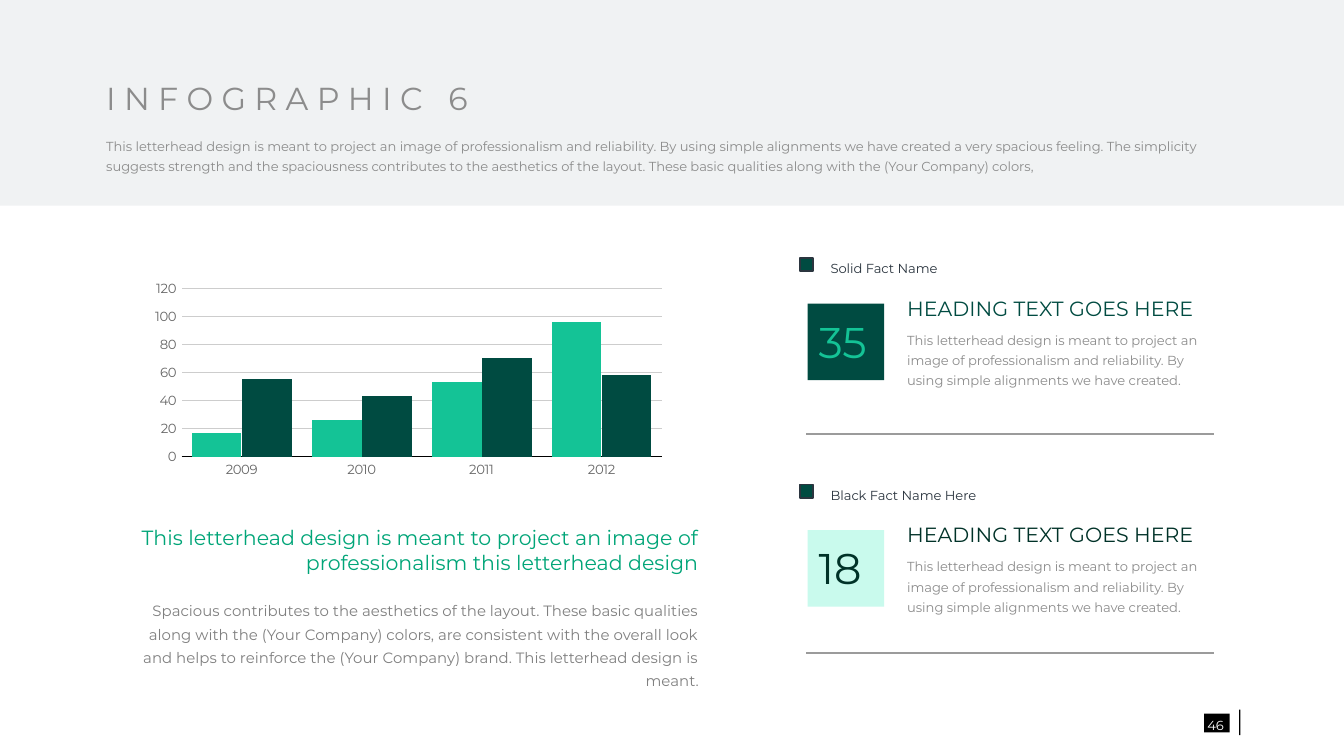
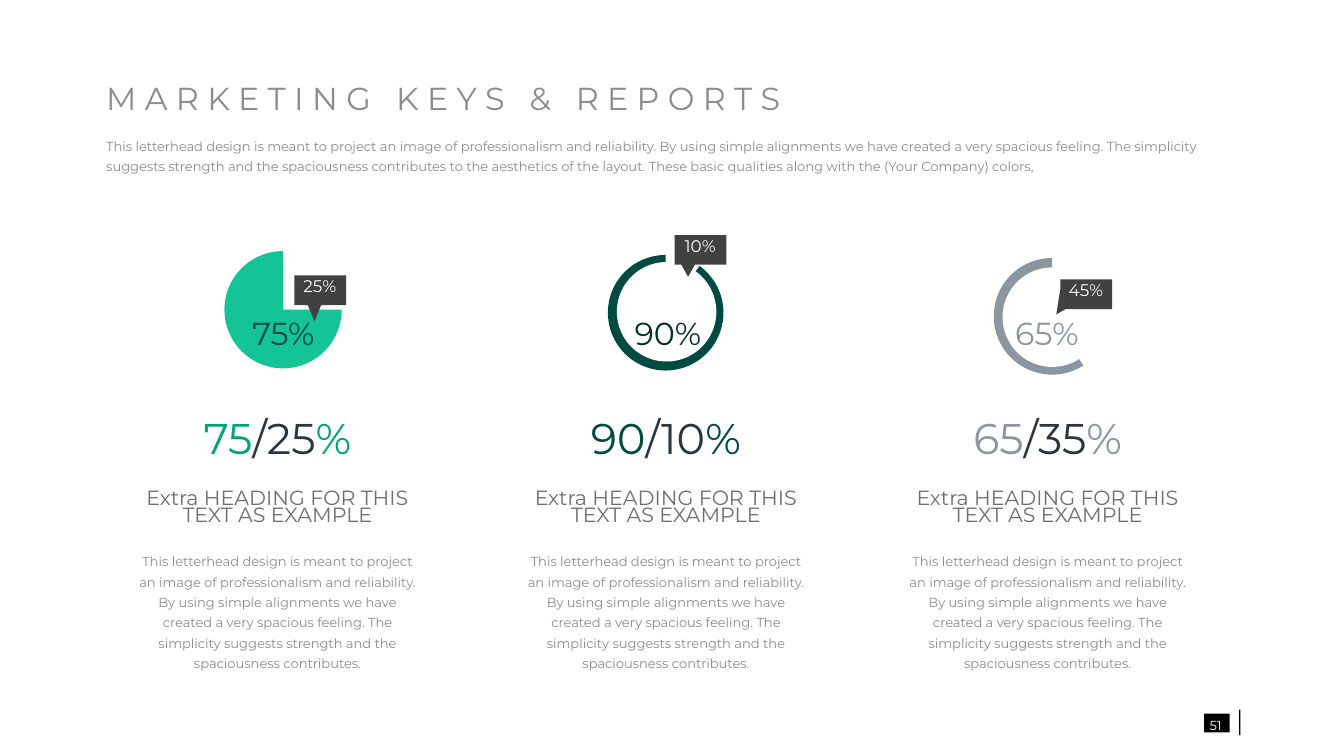
from lxml.etree import SubElement
from pptx import Presentation
from pptx.chart.data import CategoryChartData
from pptx.dml.color import RGBColor
from pptx.enum.chart import XL_CHART_TYPE, XL_TICK_MARK
from pptx.enum.shapes import MSO_CONNECTOR, MSO_SHAPE
from pptx.enum.text import MSO_ANCHOR, MSO_AUTO_SIZE, PP_ALIGN
from pptx.oxml.ns import qn
from pptx.util import Inches, Pt

FONT = "Montserrat"
WHITE = RGBColor(0xFF, 0xFF, 0xFF)
BLACK = RGBColor(0x00, 0x00, 0x00)
MIST = RGBColor(0xDA, 0xDF, 0xE3)
GRID_GREY = RGBColor(0xCD, 0xCD, 0xCD)
RULE_GREY = RGBColor(0x9B, 0x9B, 0x9B)
TEXT_GREY = RGBColor(0x8C, 0x8C, 0x8C)
SUMMARY_GREY = RGBColor(0x80, 0x80, 0x80)
HEADING_GREY = RGBColor(0x6E, 0x6E, 0x6E)
AXIS_GREY = RGBColor(0x67, 0x67, 0x67)
CALLOUT_GREY = RGBColor(0x41, 0x41, 0x41)
STEEL = RGBColor(0x8C, 0x96, 0xA0)
INK = RGBColor(0x2B, 0x35, 0x3F)
MINT = RGBColor(0xC9, 0xFA, 0xED)
GREEN = RGBColor(0x14, 0xC3, 0x96)
LEAF = RGBColor(0x00, 0xA5, 0x78)
PINE = RGBColor(0x00, 0x4B, 0x41)
DEEP_PINE = RGBColor(0x00, 0x32, 0x28)

OPENING = ("This letterhead design is meant to project an image of professionalism "
           "and reliability. By using simple alignments we have created")
INTRO = (OPENING + " a very spacious feeling. The simplicity suggests strength and the "
         "spaciousness contributes to the aesthetics of the layout. These basic "
         "qualities along with the (Your Company) colors,")
REPORT = (OPENING + " a very spacious feeling. The simplicity suggests strength "
          "and the spaciousness contributes.")
SUMMARY = ("Spacious contributes to the aesthetics of the layout. These basic qualities "
           "along with the (Your Company) colors, are consistent with the overall look "
           "and helps to reinforce the (Your Company) brand. This letterhead design is "
           "meant.")


def grid(*cells):
    """Turn counts of grid cells, ten to the inch, into lengths."""
    return [Inches(cell / 10) for cell in cells]


def write(shape, text, size, color, spacing=1.0, align=PP_ALIGN.LEFT,
          anchor=MSO_ANCHOR.MIDDLE, more=()):
    """Fill a shape with text; more holds further (text, colour) runs."""
    frame = shape.text_frame
    frame.text = text
    frame.word_wrap = True
    frame.auto_size = MSO_AUTO_SIZE.NONE
    frame.vertical_anchor = anchor
    frame.margin_left = frame.margin_top = frame.margin_right = frame.margin_bottom = 0
    for paragraph in frame.paragraphs:
        paragraph.alignment = align
        paragraph.line_spacing = spacing
        paragraph.space_before = Pt(0)
        for run in paragraph.runs:
            run.font.color.rgb = color
    for extra, extra_color in more:
        run = frame.paragraphs[0].add_run()
        run.text = extra
        run.font.color.rgb = extra_color
    for paragraph in frame.paragraphs:
        for run in paragraph.runs:
            run.font.name = FONT
            run.font.size = Pt(size)


prs = Presentation()
prs.slide_width, prs.slide_height = grid(100, 56.25)
blocks = []  # (shape, fill, outline)
charts = []  # (chart, share of the chart taken by the plot: x, y, w, h)

# Title, introduction and page number
slides = []
for title, title_width, page in (("INFOGRAPHIC 6", 44.1, "46"),
                                 ("MARKETING KEYS & REPORTS", 51.5, "51")):
    slide = prs.slides.add_slide(prs.slide_layouts[1])
    slides.append(slide)
    heading, intro = slide.shapes.title, slide.placeholders[1]
    heading.left, heading.top, heading.width, heading.height = grid(7.9, 6, title_width, 3.3)
    intro.left, intro.top, intro.width, intro.height = grid(7.9, 9.9, 83.1, 3.1)

    first_word, *words = [" ".join(word) for word in title.split()]
    following = [(part, TEXT_GREY) for word in words for part in (" ", word)]
    write(heading, first_word, 17, TEXT_GREY, 0.7, more=following)
    for run in heading.text_frame.paragraphs[0].runs:
        if run.text == " ":
            run.font._element.set("spc", "890")

    write(intro, INTRO, 7, TEXT_GREY, 1.3)
    intro_format = intro.text_frame.paragraphs[0]._p.get_or_add_pPr()
    intro_format.set("marL", "0")
    intro_format.set("indent", "0")
    SubElement(intro_format, qn("a:buNone"))

    for box in ((89.6, 53.1, 1.9, 1.4), (92.2, 52.8, 0.1, 1.9)):
        blocks.append((slide.shapes.add_shape(MSO_SHAPE.RECTANGLE, *grid(*box)), BLACK, None))
    write(slide.shapes.add_textbox(*grid(89.3, 53, 2.3, 1.6)), page, 7, WHITE, 1.3,
          PP_ALIGN.CENTER)

# Infographic: band, yearly columns and two facts
infographic, reports = slides
shapes = infographic.shapes
band = shapes.add_shape(MSO_SHAPE.RECTANGLE, *grid(-0.4, -0.2, 100.7, 15.5))
shapes.element.insert(2, band.element)
blocks.append((band, MIST, None))

years = CategoryChartData()
years.categories = ["2009", "2010", "2011", "2012"]
years.add_series("Series 1", (17, 26, 53, 96))
years.add_series("Series 2", (55, 43, 70, 58))
columns = shapes.add_chart(XL_CHART_TYPE.COLUMN_CLUSTERED, *grid(9.1, 17.7, 41.2, 18.7),
                           years).chart
charts.append((columns, (0.107, 0.2, 0.867, 0.671)))
columns.plots[0].gap_width = 40
columns.plots[0].overlap = 0
for series, color in zip(columns.plots[0].series, (GREEN, PINE)):
    series.format.fill.solid()
    series.format.fill.fore_color.rgb = color
for axis in (columns.category_axis, columns.value_axis):
    axis.major_tick_mark = axis.minor_tick_mark = XL_TICK_MARK.NONE
    axis.tick_labels.font.name = FONT
    axis.tick_labels.font.size = Pt(7.1)
    axis.tick_labels.font.color.rgb = AXIS_GREY
columns.category_axis.format.line.color.rgb = BLACK
columns.category_axis.format.line.width = Pt(0.36)
amounts = columns.value_axis
amounts.minimum_scale, amounts.maximum_scale, amounts.major_unit = 0, 120, 20
amounts.format.line.fill.background()
amounts.major_gridlines.format.line.color.rgb = GRID_GREY
amounts.major_gridlines.format.line.width = Pt(0.36)

write(shapes.add_textbox(*grid(10.4, 39.1, 41.6, 4.7)),
      "This letterhead design is meant to project an image of professionalism "
      "this letterhead design", 11, LEAF, 1.0, PP_ALIGN.RIGHT, MSO_ANCHOR.TOP)
write(shapes.add_textbox(*grid(10.4, 44.4, 41.6, 5.6)), SUMMARY, 8, SUMMARY_GREY, 1.3,
      PP_ALIGN.RIGHT, MSO_ANCHOR.TOP)

facts = (("Solid Fact Name", "35", PINE, GREEN, PINE, 32.3),
         ("Black Fact Name Here", "18", MINT, DEEP_PINE, DEEP_PINE, 48.6))
for row, (name, number, tile_color, number_color, heading_color, rule_top) in enumerate(facts):
    top = 19 + 16.85 * row
    marker = shapes.add_shape(MSO_SHAPE.RECTANGLE, *grid(59.5, top + 0.2, 1, 1))
    tile = shapes.add_shape(MSO_SHAPE.RECTANGLE, *grid(60.1, top + 3.6, 5.7, 5.7))
    blocks += [(marker, PINE, INK), (tile, tile_color, None)]
    write(shapes.add_textbox(*grid(61.8, top, 11.5, 1.6)), name, 7, INK, 1.3)
    write(shapes.add_textbox(*grid(60.9, top + 4.3, 4.2, 4.2)), number, 23, number_color)
    write(shapes.add_textbox(*grid(67.5, top + 2.5, 22.4, 3.2)),
          "HEADING TEXT GOES HERE", 11, heading_color, 0.8)
    write(shapes.add_textbox(*grid(67.5, top + 5.3, 22.4, 4.7)), OPENING + ".", 7,
          TEXT_GREY, 1.3)
    rule = shapes.add_connector(MSO_CONNECTOR.STRAIGHT,
                                *grid(60, rule_top, 90.3, rule_top))
    rule.line.color.rgb = RULE_GREY
    rule.line.width = Pt(1)
    SubElement(rule.element.spPr, qn("a:effectLst"))

# Reports: three shares, each with a pie or ring, a callout and a text column
shapes = reports.shapes
pies = (
    ((25, 75), (16, 13.3, 10.1, 15), (0.069, 0.304, 0.865, 0.7), GREEN, None),
    ((10, 90), (44.5, 13.6, 10, 14.9), (0.073, 0.302, 0.861, 0.701), PINE, (45.9, 19.5)),
    ((41, 59), (71, 9.2, 14.5, 22.1), (0.203, 0.301, 0.599, 0.702), STEEL, (74.6, 19.9)),
)
for values, box, plot_share, color, hole in pies:
    shares = CategoryChartData()
    shares.categories = ["1", "2"]
    shares.add_series("Series 1", values)
    pie = shapes.add_chart(XL_CHART_TYPE.PIE, *grid(*box), shares).chart
    charts.append((pie, plot_share))
    pie.plots[0].vary_by_categories = False
    series = pie.plots[0].series[0]
    series.format.fill.background()
    series.format.line.fill.background()
    rest, main = series.points[0].format, series.points[1].format
    rest.fill.background()
    main.fill.solid()
    main.fill.fore_color.rgb = color
    for part in (rest, main):
        part.line.fill.background()
    if hole:
        blocks.append((shapes.add_shape(MSO_SHAPE.OVAL, *grid(*hole, 7.4, 7.4)), WHITE, None))

callouts = (
    ("25%", 21.9, 20.5, ((2, 2.2), (1.5, 3.4), (1, 2.2), (0, 2.2))),
    ("10%", 50.2, 17.5, ((1.5, 2.2), (1, 3.1), (0.5, 2.2), (0, 2.2))),
    ("45%", 78.9, 20.8, ((0.4, 2.2), (-0.3, 2.6), (0, 0.7))),
)
for label, left, top, tail in callouts:
    outline = [grid(left + x, top + y) for x, y in ((3.85, 0), (3.85, 2.2), *tail)]
    builder = shapes.build_freeform(*grid(left, top))
    builder.add_line_segments(outline, close=True)
    blocks.append((builder.convert_to_shape(), CALLOUT_GREY, None))
    write(shapes.add_textbox(*grid(left + 0.2, top + 0.1, 3.4, 1.7)), label, 9, WHITE, 0.7,
          PP_ALIGN.CENTER)

report_columns = ((10.1, 18.1, "75", "25", PINE, LEAF),
                  (39, 46.7, "90", "10", DEEP_PINE, PINE),
                  (67.4, 74.9, "65", "35", STEEL, STEEL))
for left, share_left, share, remainder, share_color, ratio_color in report_columns:
    write(shapes.add_textbox(*grid(share_left, 23.4, 6, 3.4)), share + "%", 17, share_color,
          0.7, PP_ALIGN.CENTER)
    write(shapes.add_textbox(*grid(left, 31.1, 21.1, 3.9)), share, 23, ratio_color, 0.7,
          PP_ALIGN.CENTER, more=(("/" + remainder, INK), ("%", ratio_color)))
    write(shapes.add_textbox(*grid(left, 36, 21.1, 3.7)),
          "Extra HEADING FOR THIS\nTEXT AS EXAMPLE", 11, HEADING_GREY, 0.7, PP_ALIGN.CENTER)
    write(shapes.add_textbox(*grid(left, 40.9, 21.1, 9)), REPORT, 7, TEXT_GREY, 1.3,
          PP_ALIGN.CENTER)

# Finish of all blocks and charts
for block, color, outline_color in blocks:
    block.shadow.inherit = False
    block.fill.solid()
    block.fill.fore_color.rgb = color
    if outline_color:
        block.line.color.rgb = outline_color
        block.line.width = Pt(1)
    else:
        block.line.fill.background()
band_color = band.element.spPr.find(qn("a:solidFill")).find(qn("a:srgbClr"))
SubElement(band_color, qn("a:alpha")).set("val", "40000")

for chart, plot_share in charts:
    chart.has_legend = chart.has_title = False
    chart.font.name = "Calibri"
    chart.font.size = Pt(12)
    chart.font.color.rgb = BLACK
    plot_area = chart.element.chart.plotArea
    for automatic in plot_area.findall(qn("c:layout")):
        plot_area.remove(automatic)
    layout = SubElement(plot_area, qn("c:layout"))
    plot_area.insert(0, layout)
    manual = SubElement(layout, qn("c:manualLayout"))
    settings = ("inner", "edge", "edge", *plot_share)
    for tag, value in zip(("layoutTarget", "xMode", "yMode", "x", "y", "w", "h"), settings):
        SubElement(manual, qn("c:" + tag)).set("val", str(value))

prs.save("out.pptx")
